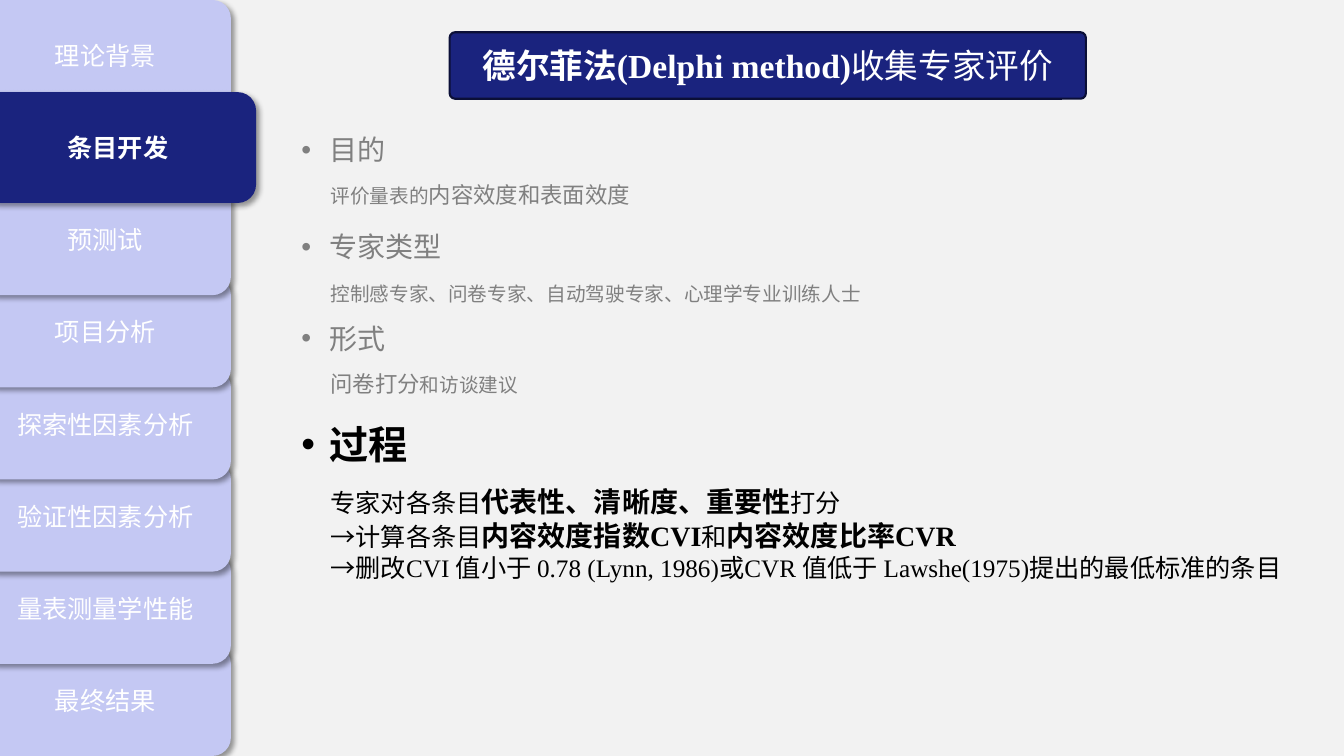
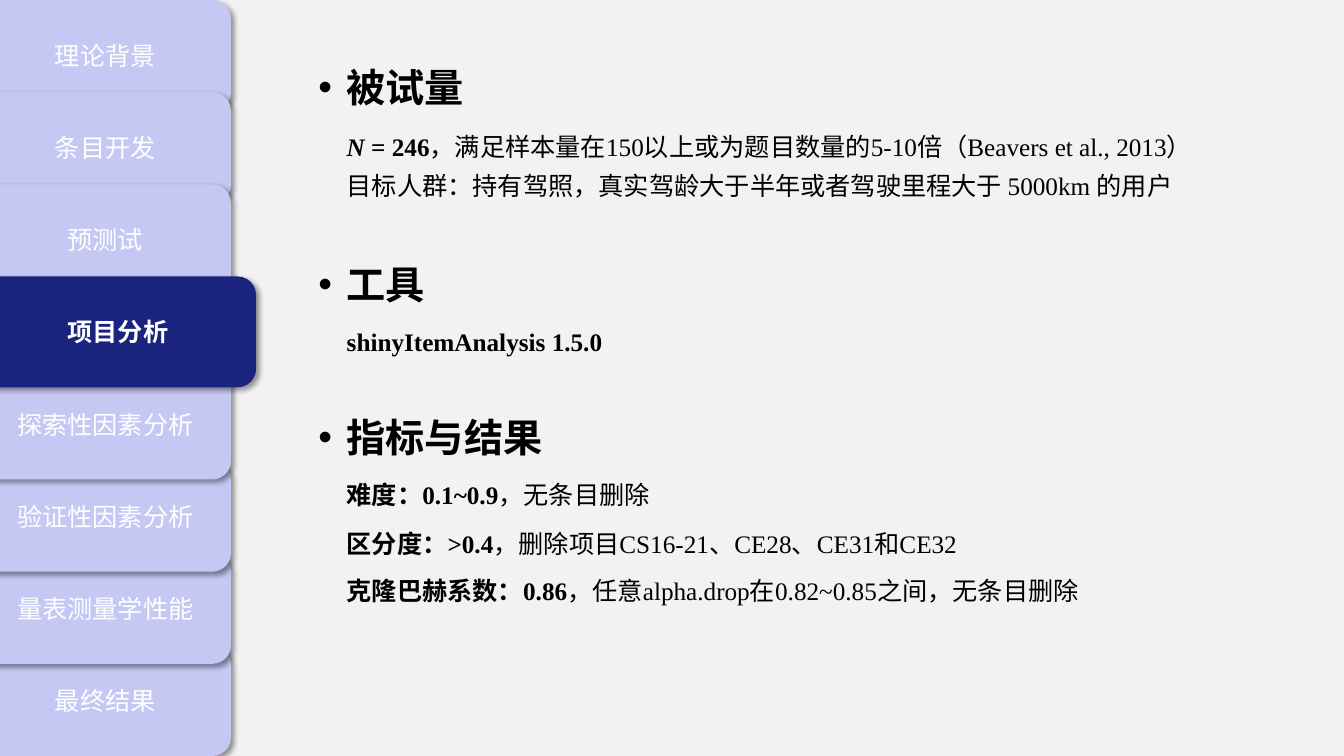
from lxml import etree
from pptx import Presentation
from pptx.dml.color import RGBColor
from pptx.enum import shapes, text
from pptx.oxml import ns
from pptx.util import Inches, Pt

NAVY = RGBColor(0x1A, 0x23, 0x7E)
NAVY_EDGE = RGBColor(0x0B, 0x0F, 0x37)
LAVENDER = RGBColor(0xC4, 0xC8, 0xF3)
PAPER = RGBColor(0xF2, 0xF2, 0xF2)
GRAY = RGBColor(0x80, 0x80, 0x80)
BLACK = RGBColor(0, 0, 0)
WHITE = RGBColor(0xFF, 0xFF, 0xFF)

LATIN = "Times New Roman"
CJK = "Noto Sans CJK SC"
TITLE_ONLY, BLANK = 5, 6
SLIDE_W, SLIDE_H = 13.33, 7.5

TABS = ["理论背景", "条目开发", "预测试", "项目分析", "探索性因素分析",
        "验证性因素分析", "量表测量学性能", "最终结果"]
TAB_LEFT, TAB_H = -0.2, 1.1
TAB_W, ACTIVE_W = 2.49, 2.74
TAB_STEP = (SLIDE_H - TAB_H) / (len(TABS) - 1)
HEADING_H = 0.57


def sub(parent, tag, **attrs):
    el = etree.SubElement(parent, ns.qn(tag))
    for key, value in attrs.items():
        el.set(key, str(value))
    return el


def style_font(p, size, color, bold=False, name=LATIN):
    f = p.font
    f.size, f.bold, f.name = Pt(size), bold, name
    f.color.rgb = color
    sub(p._p.pPr.find(ns.qn("a:defRPr")), "a:ea", typeface=CJK)


def add_runs(p, runs):
    for run in runs:
        content, style = (run, {}) if isinstance(run, str) else run
        r = p.add_run()
        r.text = content
        for key, value in style.items():
            setattr(r.font, key, value)


def add_bullet(p):
    pPr = p._p.get_or_add_pPr()
    pPr.set("marL", str(Inches(0.5)))
    pPr.set("indent", str(Inches(-0.28)))
    sub(pPr, "a:buFont", typeface="Arial")
    sub(pPr, "a:buChar", char="•")


def add_shadow(sp):
    effects = sub(sp._element.spPr, "a:effectLst")
    shadow = sub(effects, "a:outerShdw", blurRad=Pt(4), dist=Pt(3),
                 dir=45 * 60000, algn="tl", rotWithShape=0)
    sub(sub(shadow, "a:srgbClr", val="000000"), "a:alpha", val=40000)


def add_text(container, box, paragraphs, size, color, bold=False,
             spacing=None, bullet=False):
    tf = container.add_textbox(*map(Inches, box)).text_frame
    tf.word_wrap = True
    for i, runs in enumerate(paragraphs):
        p = tf.paragraphs[0] if i == 0 else tf.add_paragraph()
        if spacing:
            p.line_spacing = Pt(spacing)
        if bullet:
            add_bullet(p)
        style_font(p, size, color, bold)
        add_runs(p, runs)


def add_heading(container, left, top, width, label, size=28, color=BLACK, bold=True):
    add_text(container, (left, top, width, HEADING_H), [[label]], size, color,
             bold, bullet=True)


def add_round_rect(slide, box, fill):
    sp = slide.shapes.add_shape(shapes.MSO_SHAPE.ROUNDED_RECTANGLE, *map(Inches, box))
    sp.fill.solid()
    sp.fill.fore_color.rgb = fill
    return sp


def add_tab(slide, i, active):
    width = ACTIVE_W if active else TAB_W
    sp = add_round_rect(slide, (TAB_LEFT, i * TAB_STEP, width, TAB_H),
                        NAVY if active else LAVENDER)
    sp.line.fill.background()
    add_shadow(sp)
    tf = sp.text_frame
    tf.vertical_anchor = text.MSO_ANCHOR.MIDDLE
    p = tf.paragraphs[0]
    p.alignment = text.PP_ALIGN.CENTER
    style_font(p, 18, WHITE, active, CJK)
    add_runs(p, [TABS[i]])


def add_navigation(slide, current):
    for i in [*range(current), *range(len(TABS) - 1, current - 1, -1)]:
        add_tab(slide, i, i == current)


def add_title(slide, runs):
    box = (4.46, 0.32, 6.31, 0.66)
    panel = add_round_rect(slide, box, NAVY)
    panel.adjustments[0] = 0.08
    panel.line.color.rgb = NAVY_EDGE
    panel.line.width = Pt(1.5)
    panel.shadow.inherit = False
    title = slide.shapes.title
    title._element.addprevious(panel._element)
    title.left, title.top, title.width, title.height = map(Inches, box)
    tf = title.text_frame
    tf.word_wrap = True
    tf.vertical_anchor = text.MSO_ANCHOR.MIDDLE
    p = tf.paragraphs[0]
    p.alignment = text.PP_ALIGN.CENTER
    style_font(p, 24, WHITE)
    add_runs(p, runs)


def build_delphi(prs):
    slide = prs.slides.add_slide(prs.slide_layouts[TITLE_ONLY])
    strong = {"bold": True}
    larger = {"size": Pt(16)}
    key = {"size": Pt(20), "bold": True}
    add_title(slide, [("德尔菲法(Delphi method)", strong), "收集专家评价"])
    add_navigation(slide, 1)
    left, width, detail_left = 2.67, 2.35, 3.18
    sections = [
        (1.27, "目的", ["评价量表的", ("内容效度和表面效度", larger)]),
        (2.23, "专家类型", ["控制感专家、问卷专家、自动驾驶专家、心理学专业训练人士"]),
        (3.14, "形式", [("问卷打分", larger), "和访谈建议"]),
    ]
    for top, label, runs in sections:
        group = slide.shapes.add_group_shape().shapes
        add_heading(group, left, top, width, label, 20, GRAY, False)
        add_text(group, (detail_left, top + 0.36, 8.64, 0.62), [runs], 14, GRAY,
                 spacing=28)
    group = slide.shapes.add_group_shape().shapes
    add_heading(group, left, 4.12, width, "过程")
    add_text(group, (detail_left, 4.76, 9.92, 1.37), [
        ["专家对各条目", ("代表性、清晰度、重要性", key), "打分"],
        ["→计算各条目", ("内容效度指数CVI", key), "和", ("内容效度比率CVR", key)],
        ["→删改CVI 值小于 0.78 (Lynn, 1986)或CVR 值低于 Lawshe(1975)提出的最低标准的条目"],
    ], 18, BLACK)


def build_item_analysis(prs):
    slide = prs.slides.add_slide(prs.slide_layouts[BLANK])
    add_navigation(slide, 3)
    strong = {"bold": True}
    for top, label in [(0.58, "被试量"), (2.53, "工具"), (4.05, "指标与结果")]:
        add_heading(slide.shapes, 2.84, top, 3.42, label)
    details = [
        (1.16, 0.85, [
            [("N", {"bold": True, "italic": True}), (" = 246", strong),
             "，满足样本量在150以上或为题目数量的5-10倍（Beavers et al., 2013）"],
            ["目标人群：持有驾照，真实驾龄大于半年或者驾驶里程大于 5000km 的用户"],
        ]),
        (3.1, 0.46, [[("shinyItemAnalysis 1.5.0", strong)]]),
        (4.62, 0.46, [[("难度：0.1~0.9", strong), "，无条目删除"]]),
        (5.1, 0.46, [[("区分度：>0.4", strong),
                      "，删除项目CS16-21、CE28、CE31和CE32"]]),
        (5.57, 0.46, [[("克隆巴赫系数：0.86", strong),
                       "，任意alpha.drop在0.82~0.85之间，无条目删除"]]),
    ]
    for top, height, paragraphs in details:
        add_text(slide.shapes, (3.34, top, 8.81, height), paragraphs, 18, BLACK,
                 spacing=28)


def main():
    prs = Presentation()
    prs.slide_width, prs.slide_height = Inches(SLIDE_W), Inches(SLIDE_H)
    background = prs.slide_master.background.fill
    background.solid()
    background.fore_color.rgb = PAPER
    build_delphi(prs)
    build_item_analysis(prs)
    prs.save("out.pptx")


if __name__ == "__main__":
    main()
